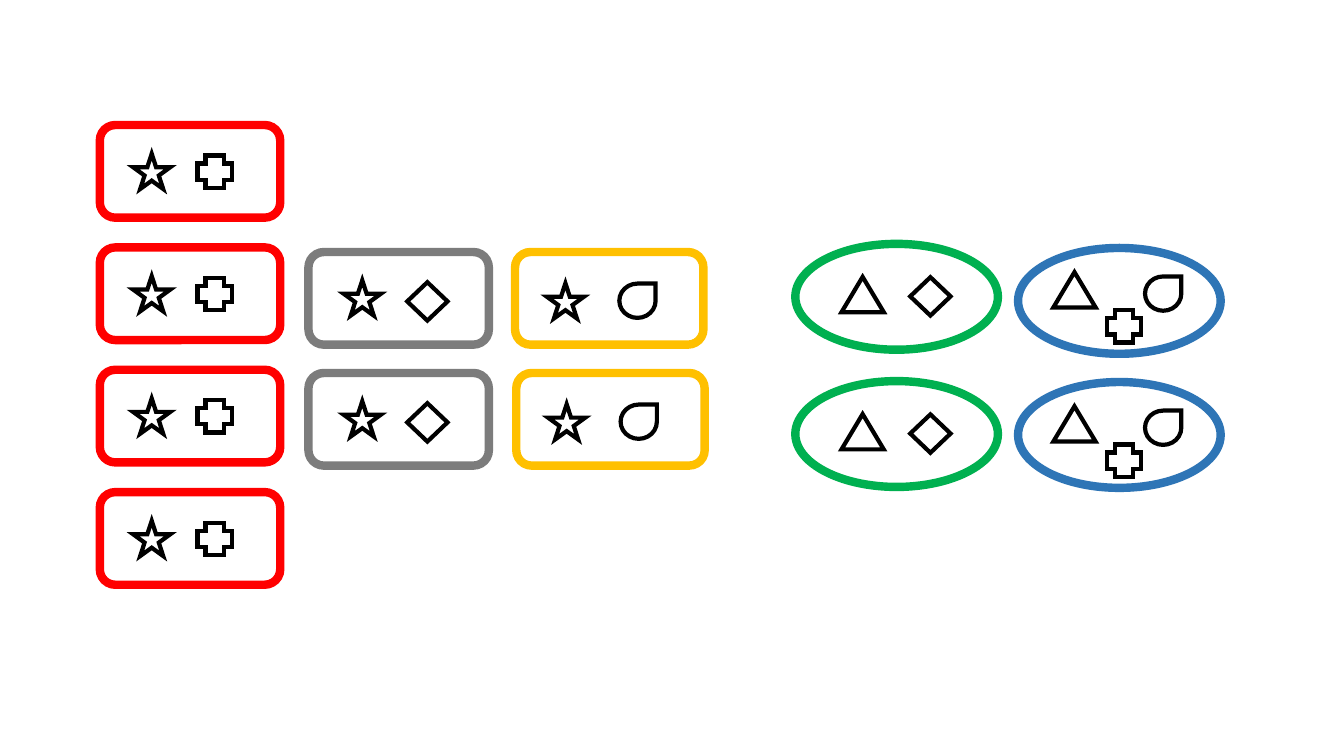
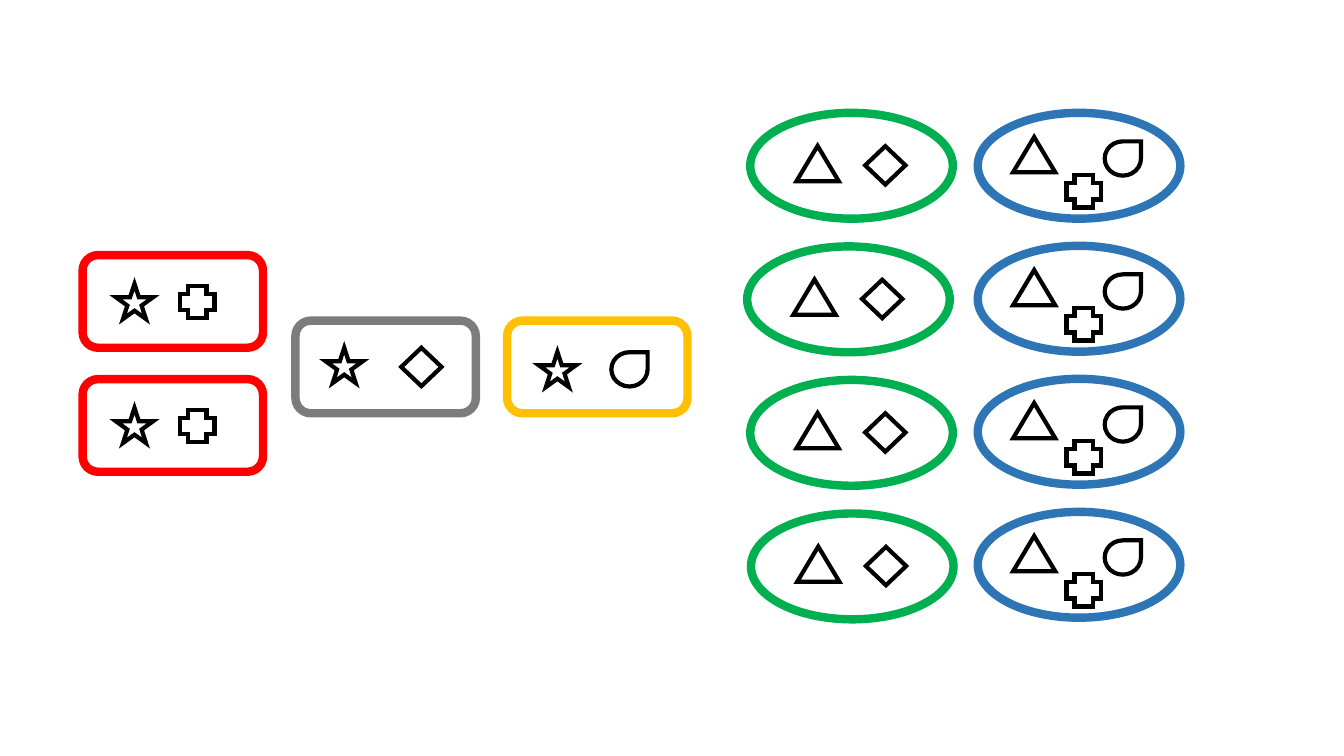
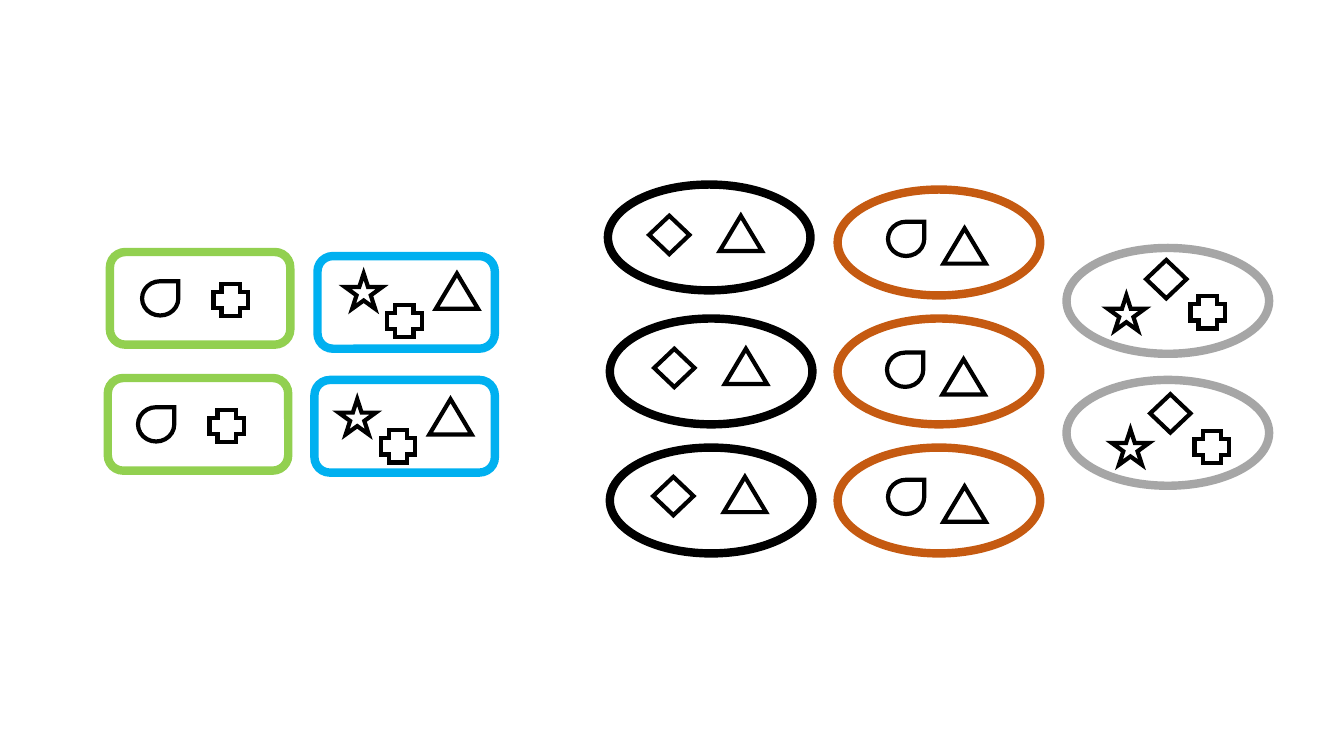
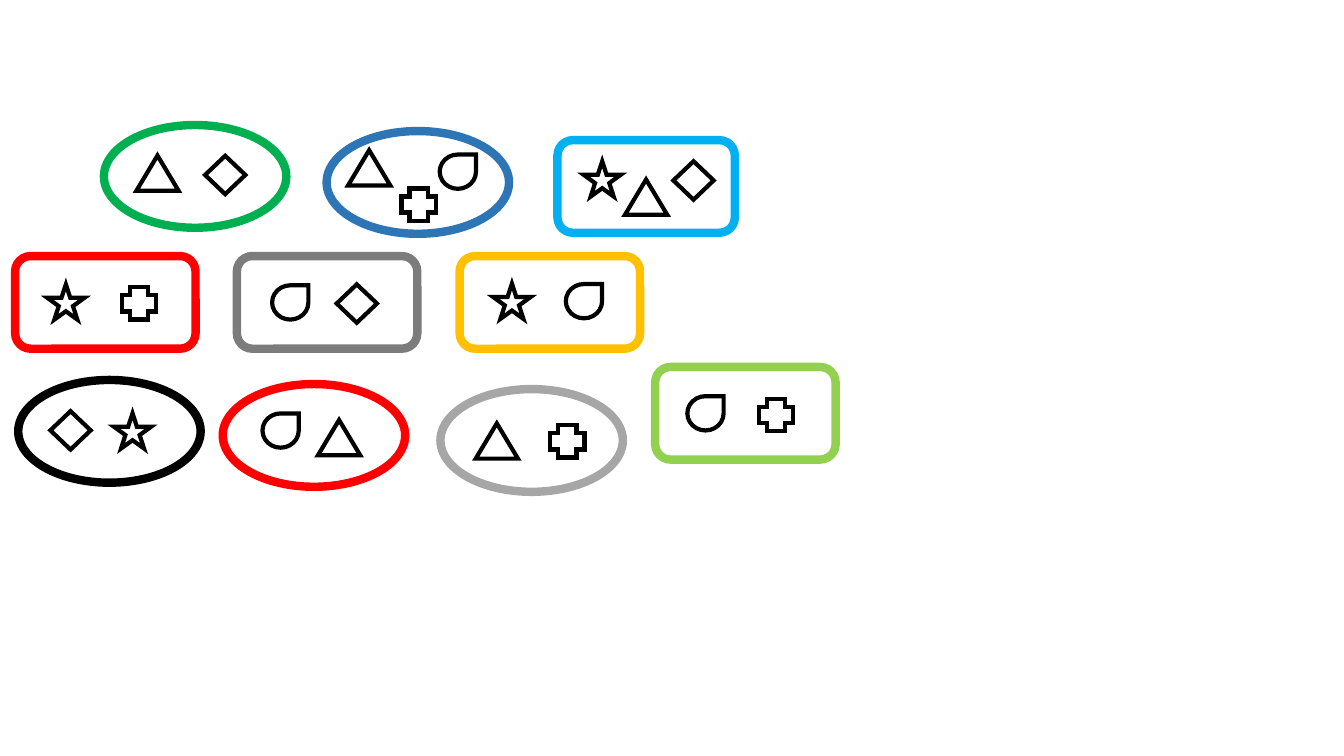
from dataclasses import dataclass, replace

from lxml.etree import SubElement
from pptx import Presentation
from pptx.dml.color import RGBColor
from pptx.enum.shapes import MSO_SHAPE as Preset
from pptx.oxml.ns import qn
from pptx.util import Pt


@dataclass(frozen=True)
class Theme:
    black: str = "000000"
    red: str = "FF0000"
    gray: str = "7C7C7C"
    silver: str = "A6A6A6"
    gold: str = "FFC000"
    green: str = "00B050"
    blue: str = "2E75B6"
    lime: str = "92D050"
    sky: str = "00B0F0"
    rust: str = "C55A11"
    frame_line: float = 6
    glyph_line: float = 3
    card: tuple = (128.9, 66.2)
    wide_card: tuple = (134.6, 66.2)
    slim_card: tuple = (126.7, 66.2)
    oval: tuple = (144.7, 75.6)
    small_oval: tuple = (130.3, 73.4)


@dataclass(frozen=True)
class Badge:
    outline: int
    size: tuple
    colour: str
    glyphs: tuple


THEME = Theme()

GLYPHS = {
    "star": (Preset.STAR_5_POINT, (26.6, 25.2)),
    "plus": (Preset.CROSS, (24.5, 23)),
    "diamond": (Preset.DIAMOND, (28.8, 27.4)),
    "drop": (Preset.TEAR, (25.9, 24.5)),
    "triangle": (Preset.ISOSCELES_TRIANGLE, (30.2, 25.2)),
}


def card(colour, *glyphs, size=THEME.card):
    return Badge(Preset.ROUNDED_RECTANGLE, size, colour, glyphs)


def oval(colour, *glyphs, size=THEME.oval):
    return Badge(Preset.OVAL, size, colour, glyphs)


RED = card(THEME.red, ("star", 23.8, 20.5), ("plus", 69.8, 21.8))
GRAY = card(THEME.gray, ("star", 25.2, 20.2), ("diamond", 70.6, 21.6))
GOLD = card(THEME.gold, ("star", 22.7, 22.3), ("drop", 74.5, 22.6))
LIME = card(THEME.lime, ("drop", 22.3, 20.9), ("plus", 73.4, 22.7))
SKY = card(THEME.sky, ("star", 17.3, 13.7), ("plus", 47.5, 36), ("triangle", 82.1, 13.7))
GREEN = oval(THEME.green, ("triangle", 33, 23.6), ("diamond", 82.1, 23.8))
BLUE = oval(THEME.blue, ("triangle", 25.2, 17.3), ("plus", 63.4, 44.6), ("drop", 90.7, 20.4))
BLACK = oval(THEME.black, ("diamond", 31.7, 21.6), ("triangle", 82.1, 21.6))
RUST = oval(THEME.rust, ("drop", 36, 23), ("triangle", 75.6, 27.7))
SILVER = oval(THEME.silver, ("star", 29.5, 33.8), ("diamond", 56.9, 8.6), ("plus", 88.6, 34.6))


def draw_outline(slide, preset, left, top, size, colour, weight):
    outline = slide.shapes.add_shape(preset, Pt(left), Pt(top), *map(Pt, size))
    outline.shadow.inherit = False
    outline.fill.background()
    outline.line.color.rgb = RGBColor.from_string(colour)
    outline.line.width = Pt(weight)
    stroke = outline.element.spPr.find(qn("a:ln"))
    SubElement(stroke, qn("a:miter"), lim="800000")


def draw_badge(slide, badge, left, top, nudge=(0, 0)):
    draw_outline(slide, badge.outline, left, top, badge.size, badge.colour, THEME.frame_line)
    for name, across, down in badge.glyphs:
        preset, size = GLYPHS[name]
        draw_outline(slide, preset, left + across + nudge[0], top + down + nudge[1],
                     size, THEME.black, THEME.glyph_line)


def draw_column(slide, badge, left, top, count, pitch, shifts=None):
    for row, shift in enumerate(shifts or [0] * count):
        draw_badge(slide, badge, left + shift, top + row * pitch)


def draw_first_community(slide):
    draw_column(slide, RED, 71.3, 89.3, 4, 87.4)
    draw_column(slide, GRAY, 220.3, 180, 2, 86.4)
    draw_column(slide, replace(GOLD, size=THEME.wide_card), 367.9, 180, 2, 86.4, (0, 0.9))
    draw_column(slide, GREEN, 568.1, 174.2, 2, 98)
    draw_column(slide, BLUE, 727.2, 177.1, 2, 95.8)


def draw_second_community(slide):
    draw_column(slide, RED, 59, 182.2, 2, 88.6)
    spread_gray = card(THEME.gray, ("star", 21.6, 19.4), ("diamond", 75.6, 19.4))
    draw_badge(slide, spread_gray, 211, 229)
    draw_badge(slide, GOLD, 362.2, 229)
    draw_column(slide, GREEN, 535.9, 80.6, 4, 95.4, (0, -2.2, 0, 0.5))
    draw_column(slide, BLUE, 698.4, 80.6, 4, 95)


def draw_third_community(slide):
    slim_sky = replace(SKY, size=THEME.slim_card)
    for badge, left, top, nudge in (
        (LIME, 78.5, 180, (0.7, 0)),
        (LIME, 77, 270, (-0.7, 0)),
        (slim_sky, 226.8, 182.9, (2.4, -1.2)),
        (SKY, 224.6, 271.4, (0, 0)),
        (BLACK, 434.2, 131.8, (-2.2, 0.7)),
        (BLACK, 435.6, 227.5, (0, 0)),
        (BLACK, 435.6, 319.7, (-0.7, -0.7)),
        (RUST, 598.3, 135.4, (0, 0)),
        (RUST, 598.3, 227.5, (-0.7, 1.4)),
        (RUST, 598.3, 319.7, (0, 0)),
        (SILVER, 761.8, 177.1, (0, 0)),
        (SILVER, 761.8, 271.4, (2.9, 1.6)),
    ):
        draw_badge(slide, badge, left, top, nudge)


def draw_species_overview(slide):
    small = THEME.small_oval
    mixed_sky = card(THEME.sky, ("star", 18.7, 15.1), ("triangle", 48.2, 28.1),
                     ("diamond", 82.8, 15.1), size=THEME.slim_card)
    spread_red = card(THEME.red, ("star", 23, 20.2), ("plus", 76.3, 22.3))
    drop_gray = card(THEME.gray, ("drop", 25.2, 20.9), ("diamond", 71.3, 20.2))
    star_black = oval(THEME.black, ("diamond", 23, 22.3), ("star", 68.4, 23.8), size=small)
    paired_silver = oval(THEME.silver, ("triangle", 25.2, 24.5), ("plus", 78.5, 25.9), size=small)
    for badge, left, top, nudge in (
        (replace(GREEN, size=small), 74.2, 89.3, (-9.8, -1.8)),
        (replace(BLUE, size=small), 233.3, 93.6, (-9.9, -3.6)),
        (mixed_sky, 398.2, 100.1, (0, 0)),
        (spread_red, 10.8, 182.9, (0, 0)),
        (drop_gray, 169.2, 182.9, (0, 0)),
        (GOLD, 328.3, 182.9, (1.4, -2.6)),
        (star_black, 13, 271.4, (0, 0)),
        (replace(RUST, colour=THEME.red, size=small), 159.1, 274.3, (-7.6, -2)),
        (paired_silver, 314.6, 277.9, (0, 0)),
        (LIME, 468, 262.1, (0.7, 0)),
    ):
        draw_badge(slide, badge, left, top, nudge)


def main():
    deck = Presentation()
    deck.slide_width, deck.slide_height = Pt(960), Pt(540)
    blank = deck.slide_layouts[6]
    for draw in (draw_first_community, draw_second_community,
                 draw_third_community, draw_species_overview):
        draw(deck.slides.add_slide(blank))
    deck.save("out.pptx")


if __name__ == "__main__":
    main()
